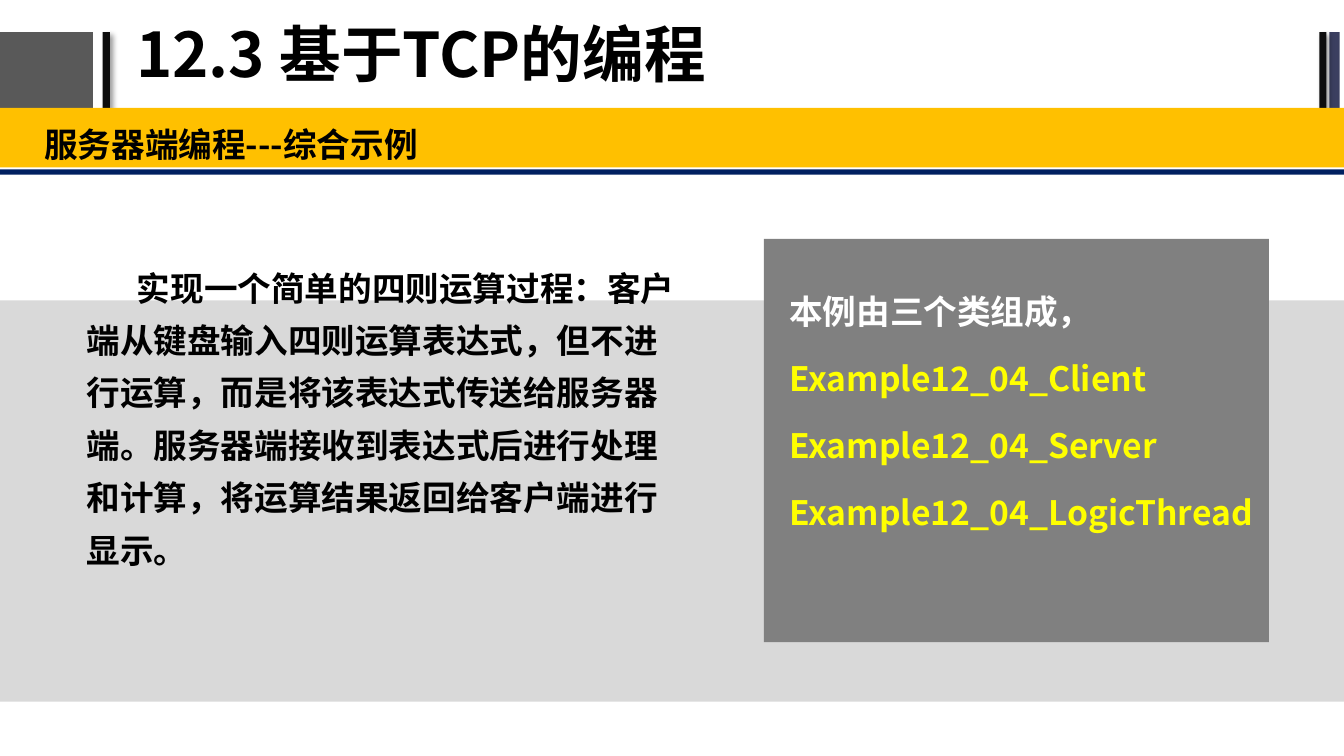
from lxml import etree
from pptx import Presentation
from pptx.dml.color import RGBColor
from pptx.enum.shapes import MSO_SHAPE
from pptx.enum.text import MSO_ANCHOR, MSO_AUTO_SIZE, PP_ALIGN
from pptx.oxml.ns import qn
from pptx.util import Cm, Pt

FONT = "Noto Sans CJK SC"
BLACK = RGBColor(0x00, 0x00, 0x00)
WHITE = RGBColor(0xFF, 0xFF, 0xFF)
YELLOW = RGBColor(0xFF, 0xFF, 0x00)
AMBER = RGBColor(0xFF, 0xC0, 0x00)
NAVY = RGBColor(0x00, 0x20, 0x60)
SLATE = RGBColor(0x3B, 0x3F, 0x60)
NEAR_BLACK = RGBColor(0x0D, 0x0D, 0x0D)
DARK_GRAY = RGBColor(0x59, 0x59, 0x59)
MID_GRAY = RGBColor(0x80, 0x80, 0x80)
LIGHT_GRAY = RGBColor(0xD9, 0xD9, 0xD9)

deck = Presentation()
deck.slide_width, deck.slide_height = Cm(33.87), Cm(19.05)
page = deck.slides.add_slide(deck.slide_layouts[5])


def style(para, size, color, spacing):
    para.alignment = PP_ALIGN.LEFT
    para.line_spacing = spacing
    para.font.size = Pt(size)
    para.font.bold = True
    para.font.color.rgb = color
    para.font.name = FONT
    east_asian = etree.SubElement(para.font._element, qn("a:ea"))
    east_asian.set("typeface", FONT)


def add_text(left, top, width, height, lines, spacing):
    box = page.shapes.add_textbox(Cm(left), Cm(top), Cm(width), Cm(height))
    frame = box.text_frame
    frame.word_wrap = True
    frame.margin_left = frame.margin_right = Cm(0.33)
    frame.margin_top = frame.margin_bottom = Cm(0.17)
    frame.text = "\n".join(text for text, color in lines)
    for index, (para, (text, color)) in enumerate(zip(frame.paragraphs, lines)):
        if index:
            para.space_before = Pt(4.8)
        style(para, 24, color, spacing)
    return frame


# Bars, bands and panels: left, top, width, height, colour, shadow
blocks = [
    (0, 0.81, 2.34, 1.93, DARK_GRAY, False),
    (2.59, 0.81, 0.18, 1.93, NEAR_BLACK, True),
    (33.5, 0.81, 0.26, 1.93, SLATE, False),
    (33.25, 0.81, 0.18, 1.93, NEAR_BLACK, True),
    (0, 7.57, 33.87, 10.11, LIGHT_GRAY, False),
    (0, 4.27, 33.87, 0.13, NAVY, False),
    (0, 2.72, 33.87, 1.5, AMBER, False),
    (19.25, 6.02, 12.73, 10.16, MID_GRAY, False),
]
for left, top, width, height, color, shadowed in blocks:
    block = page.shapes.add_shape(
        MSO_SHAPE.RECTANGLE, Cm(left), Cm(top), Cm(width), Cm(height))
    block.shadow.inherit = False
    block.fill.solid()
    block.fill.fore_color.rgb = color
    block.line.fill.background()
    if shadowed:
        effects = block._element.spPr.find(qn("a:effectLst"))
        shadow = etree.SubElement(
            effects, qn("a:outerShdw"), blurRad=str(Pt(4)), dist=str(Pt(3)),
            dir="2700000", algn="tl", rotWithShape="0")
        tint = etree.SubElement(shadow, qn("a:srgbClr"), val="000000")
        etree.SubElement(tint, qn("a:alpha"), val="40000")

# Title
title = page.shapes.title
title.left, title.top, title.width, title.height = Cm(3.18), Cm(0.05), Cm(21.51), Cm(2.79)
title.text_frame.text = "12.3 基于TCP的编程"
title.text_frame.auto_size = MSO_AUTO_SIZE.NONE
title.text_frame.vertical_anchor = MSO_ANCHOR.MIDDLE
style(title.text_frame.paragraphs[0], 44, BLACK, 0.9)

# Section heading
add_text(0.79, 2.74, 33.08, 1.47, [("服务器端编程---综合示例", BLACK)], 1.2)

# Task description with an indented first line
task = add_text(1.85, 6.27, 15.52, 10.16, [(
    "实现一个简单的四则运算过程：客户端从键盘输入四则运算表达式，但不进行运算，"
    "而是将该表达式传送给服务器端。服务器端接收到表达式后进行处理和计算，"
    "将运算结果返回给客户端进行显示。", BLACK)], 1.3)
task.paragraphs[0]._p.get_or_add_pPr().set("indent", str(Cm(1.27)))

# Classes of the example
classes = [(f"Example12_04_{name}", YELLOW) for name in ("Client", "Server", "LogicThread")]
add_text(19.56, 6.65, 12.83, 7.29, [("本例由三个类组成，", WHITE)] + classes, 1.5)

deck.save("out.pptx")
